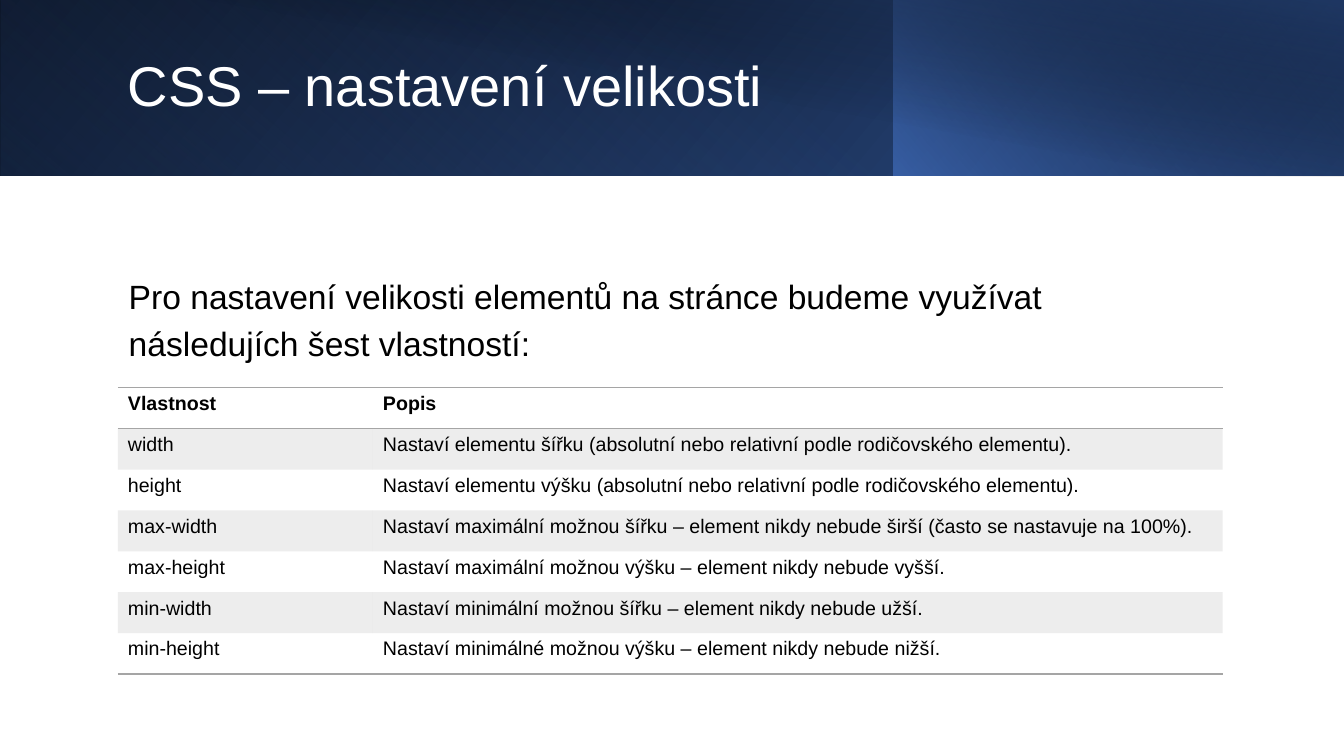
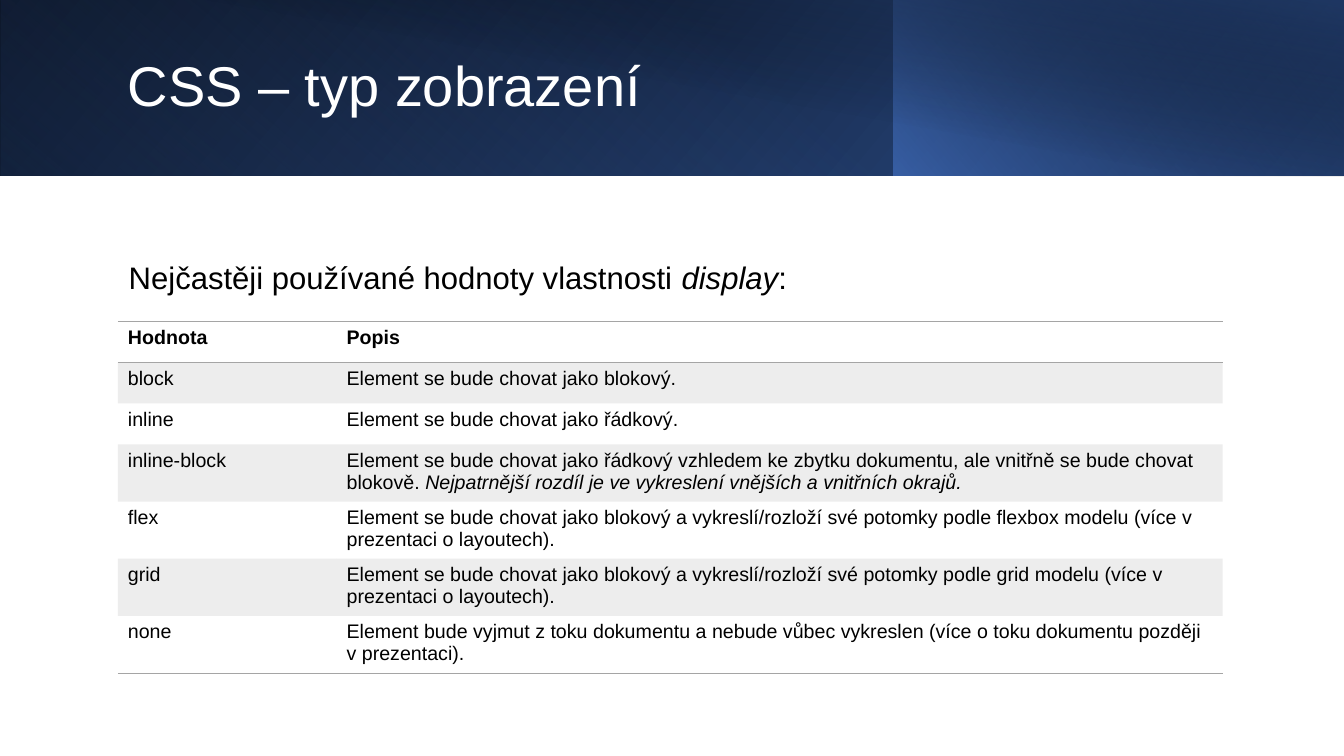
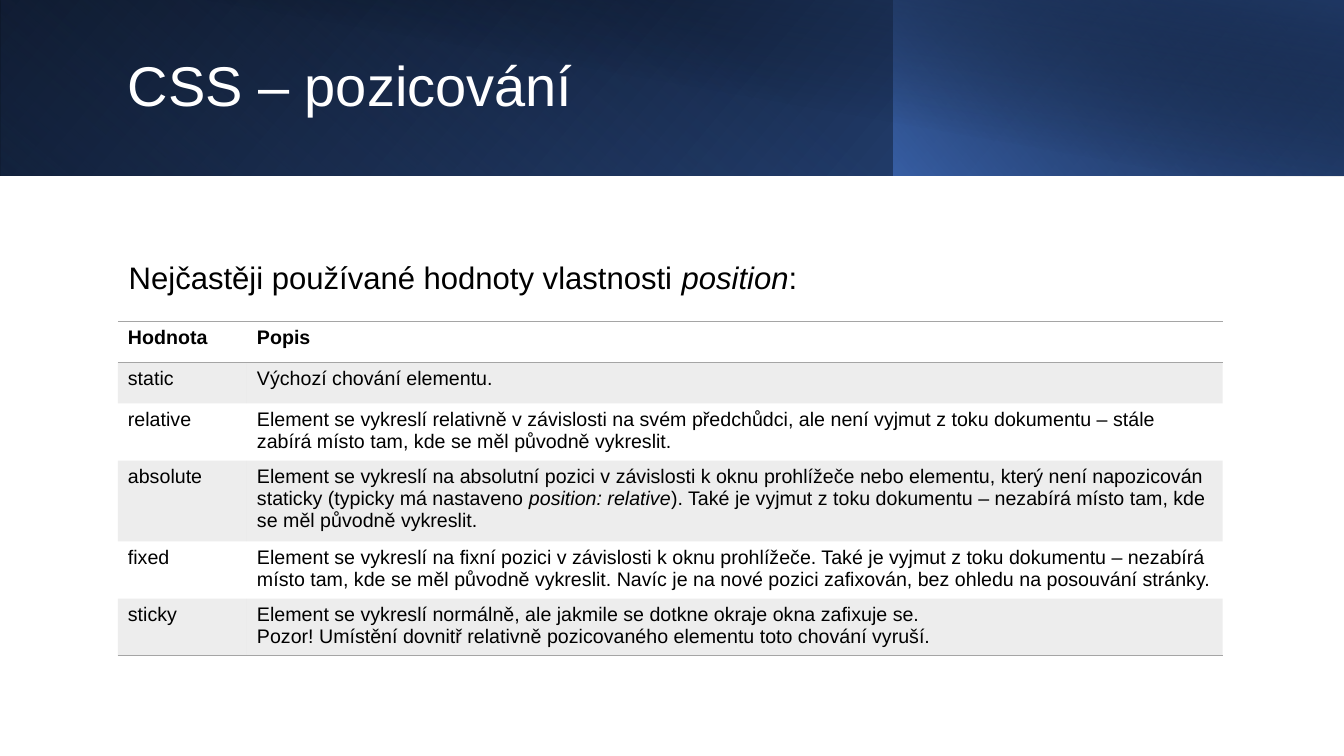
import pptx
import pptx.dml.color
import pptx.enum.shapes
import pptx.enum.text
import pptx.oxml
import pptx.oxml.ns
import pptx.util

Pt = pptx.util.Pt
qn = pptx.oxml.ns.qn

COLORS = {
    "text": "000000", "title": "FFFFFF", "grey": "A5A5A5",
    "black": "000000", "blue": "2F5496", "sky": "4472C4", "navy": "1F3864",
}
FONT = "Arial"
NO_STYLE = "{2D5ABB26-0587-4C30-8999-92F81FD0307C}"
LEFT, CONTENT_WIDTH = 84.2, 789.1
BODY_TOP = 182.2
ROW_HEIGHT = 29.2

# Each stop is position, colour name and opacity, all in percent.
BAND_LAYERS = [
    {"at": (0, 0, 960, 125.3), "flip": True, "rotation": 0, "angle": 140,
     "stops": [(0, "black", 100), (100, "blue", 100)]},
    {"at": (0, 0, 639.4, 125.3), "flip": True, "rotation": 180, "angle": 230,
     "stops": [(0, "sky", 0), (20, "sky", 0), (100, "navy", 54)]},
    {"at": (638.6, 0, 321.4, 125.3), "flip": True, "rotation": 0, "angle": 220,
     "stops": [(0, "sky", 65), (100, "black", 29)]},
    {"at": (36, 0, 924, 126), "flip": False, "rotation": 0, "angle": 280,
     "stops": [(0, "black", 0), (50, "black", 0), (99, "navy", 51), (100, "navy", 51)]},
]

TITLE_FORMAT = {"size": Pt(40), "name": FONT, "color": "title"}
CELL_FORMAT = {"size": Pt(14), "name": FONT, "color": "text", "bold": False}
HEADER_FORMAT = {**CELL_FORMAT, "bold": True}

# Asterisks enclose italic words; a line break starts a new paragraph.
PAGES = [
    {"title": "CSS – nastavení velikosti",
     "body": "Pro nastavení velikosti elementů na stránce budeme využívat "
             "následujích šest vlastností:",
     "body_height": 87.8, "body_size": 24, "body_spacing": 1.15,
     "table_top": 277, "first_column": 182.2,
     "rows": [
         ("Vlastnost", "Popis"),
         ("width", "Nastaví elementu šířku (absolutní nebo relativní podle rodičovského elementu)."),
         ("height", "Nastaví elementu výšku (absolutní nebo relativní podle rodičovského elementu)."),
         ("max-width", "Nastaví maximální možnou šířku – element nikdy nebude širší "
                       "(často se nastavuje na 100%)."),
         ("max-height", "Nastaví maximální možnou výšku – element nikdy nebude vyšší."),
         ("min-width", "Nastaví minimální možnou šířku – element nikdy nebude užší."),
         ("min-height", "Nastaví minimálné možnou výšku – element nikdy nebude nižší."),
     ]},
    {"title": "CSS – typ zobrazení",
     "body": "Nejčastěji používané hodnoty vlastnosti *display*:",
     "body_height": 34.6, "body_size": 22.2, "body_spacing": 0.95,
     "table_top": 229.8, "first_column": 156.2,
     "rows": [
         ("Hodnota", "Popis"),
         ("block", "Element se bude chovat jako blokový."),
         ("inline", "Element se bude chovat jako řádkový."),
         ("inline-block", "Element se bude chovat jako řádkový vzhledem ke zbytku dokumentu, "
                          "ale vnitřně se bude chovat blokově. *Nejpatrnější rozdíl je ve "
                          "vykreslení vnějších a vnitřních okrajů.*"),
         ("flex", "Element se bude chovat jako blokový a vykreslí/rozloží své potomky "
                  "podle flexbox modelu (více v prezentaci o layoutech)."),
         ("grid", "Element se bude chovat jako blokový a vykreslí/rozloží své potomky "
                  "podle grid modelu (více v prezentaci o layoutech)."),
         ("none", "Element bude vyjmut z toku dokumentu a nebude vůbec vykreslen "
                  "(více o toku dokumentu později v prezentaci)."),
     ]},
    {"title": "CSS – pozicování",
     "body": "Nejčastěji používané hodnoty vlastnosti *position*:",
     "body_height": 34.6, "body_size": 22.2, "body_spacing": 0.95,
     "table_top": 229.8, "first_column": 92.2,
     "rows": [
         ("Hodnota", "Popis"),
         ("static", "Výchozí chování elementu."),
         ("relative", "Element se vykreslí relativně v závislosti na svém předchůdci, ale není "
                      "vyjmut z toku dokumentu – stále zabírá místo tam, kde se měl původně "
                      "vykreslit."),
         ("absolute", "Element se vykreslí na absolutní pozici v závislosti k oknu prohlížeče "
                      "nebo elementu, který není napozicován staticky (typicky má nastaveno "
                      "*position: relative*). Také je vyjmut z toku dokumentu – nezabírá místo "
                      "tam, kde se měl původně vykreslit."),
         ("fixed", "Element se vykreslí na fixní pozici v závislosti k oknu prohlížeče. Také je "
                   "vyjmut z toku dokumentu – nezabírá místo tam, kde se měl původně vykreslit. "
                   "Navíc je na nové pozici zafixován, bez ohledu na posouvání stránky."),
         ("sticky", "Element se vykreslí normálně, ale jakmile se dotkne okraje okna zafixuje se.\n"
                    "Pozor! Umístění dovnitř relativně pozicovaného elementu toto chování vyruší."),
     ]},
]


def rgb(name):
    return pptx.dml.color.RGBColor.from_string(COLORS[name])


def add_child(parent, tag, **attributes):
    child = parent.makeelement(qn(tag), {key: str(value) for key, value in attributes.items()})
    parent.append(child)
    return child


def add_color(parent, name, opacity=100):
    color = add_child(parent, "a:srgbClr", val=COLORS[name])
    if opacity < 100:
        add_child(color, "a:alpha", val=opacity * 1000)


def write_text(frame, text, formats, spacing=None):
    """Fill a text frame, turning *words* into italic spans."""
    for index, line in enumerate(text.split("\n")):
        para = frame.add_paragraph() if index else frame.paragraphs[0]
        if spacing:
            para.line_spacing = spacing
        for number, piece in enumerate(line.split("*")):
            if not piece:
                continue
            span = para.add_run()
            span.text = piece
            for key, value in formats.items():
                if key == "color":
                    span.font.color.rgb = rgb(value)
                else:
                    setattr(span.font, key, value)
            span.font.italic = number % 2 == 1


def add_text(page, at, text, formats, spacing):
    box = page.shapes.add_textbox(*map(Pt, at))
    box.text_frame.word_wrap = True
    box.text_frame.vertical_anchor = pptx.enum.text.MSO_ANCHOR.MIDDLE
    write_text(box.text_frame, text, formats, spacing)


def add_gradient_layer(page, layer):
    shape = page.shapes.add_shape(pptx.enum.shapes.MSO_SHAPE.RECTANGLE, *map(Pt, layer["at"]))
    shape.shadow.inherit = False
    shape.line.fill.background()
    shape.rotation = layer["rotation"]
    if layer["flip"]:
        shape.element.spPr.find(qn("a:xfrm")).set("flipH", "1")
    shape.fill.gradient()
    shape.fill.gradient_angle = 360 - layer["angle"]
    stop_list = shape.element.spPr.find(".//" + qn("a:gsLst"))
    for stop in list(stop_list):
        stop_list.remove(stop)
    for position, name, opacity in layer["stops"]:
        add_color(add_child(stop_list, "a:gs", pos=position * 1000), name, opacity)


def format_cell(cell, sides, shaded):
    """Draw grey lines on the given sides and shade the cell if asked."""
    properties = cell._tc.get_or_add_tcPr()
    for side in sides:
        line = add_child(properties, "a:ln" + side, w=Pt(1))
        add_color(add_child(line, "a:solidFill"), "grey")
    if shaded:
        add_color(add_child(properties, "a:solidFill"), "grey", 20)
    else:
        add_child(properties, "a:noFill")


def add_property_table(page, top, first_column, rows):
    frame = page.shapes.add_table(len(rows), 2, Pt(LEFT), Pt(top),
                                  Pt(CONTENT_WIDTH), Pt(ROW_HEIGHT * len(rows)))
    table = frame.table
    table.horz_banding = False
    table._tbl.tblPr.find(qn("a:tableStyleId")).text = NO_STYLE
    for column, width in zip(table.columns, (first_column, CONTENT_WIDTH - first_column)):
        column.width = Pt(width)
    for row_index, texts in enumerate(rows):
        table.rows[row_index].height = Pt(ROW_HEIGHT)
        is_header = row_index == 0
        sides = "TB" if is_header else "B" if row_index == len(rows) - 1 else ""
        for column_index, text in enumerate(texts):
            cell = table.cell(row_index, column_index)
            write_text(cell.text_frame, text, HEADER_FORMAT if is_header else CELL_FORMAT)
            format_cell(cell, sides, shaded=row_index % 2 == 1)


def add_page(deck, content):
    page = deck.slides.add_slide(deck.slide_layouts[6])
    for layer in BAND_LAYERS:
        add_gradient_layer(page, layer)
    add_text(page, (LEFT, 22.3, 554.4, 81.4), content["title"], TITLE_FORMAT, 0.9)
    body_format = {"size": Pt(content["body_size"]), "name": FONT, "color": "text"}
    add_text(page, (LEFT + 0.7, BODY_TOP, CONTENT_WIDTH, content["body_height"]),
             content["body"], body_format, content["body_spacing"])
    add_property_table(page, content["table_top"], content["first_column"], content["rows"])


def main():
    deck = pptx.Presentation()
    deck.slide_width, deck.slide_height = Pt(960), Pt(540)
    for content in PAGES:
        add_page(deck, content)
    deck.save("out.pptx")


if __name__ == "__main__":
    main()
